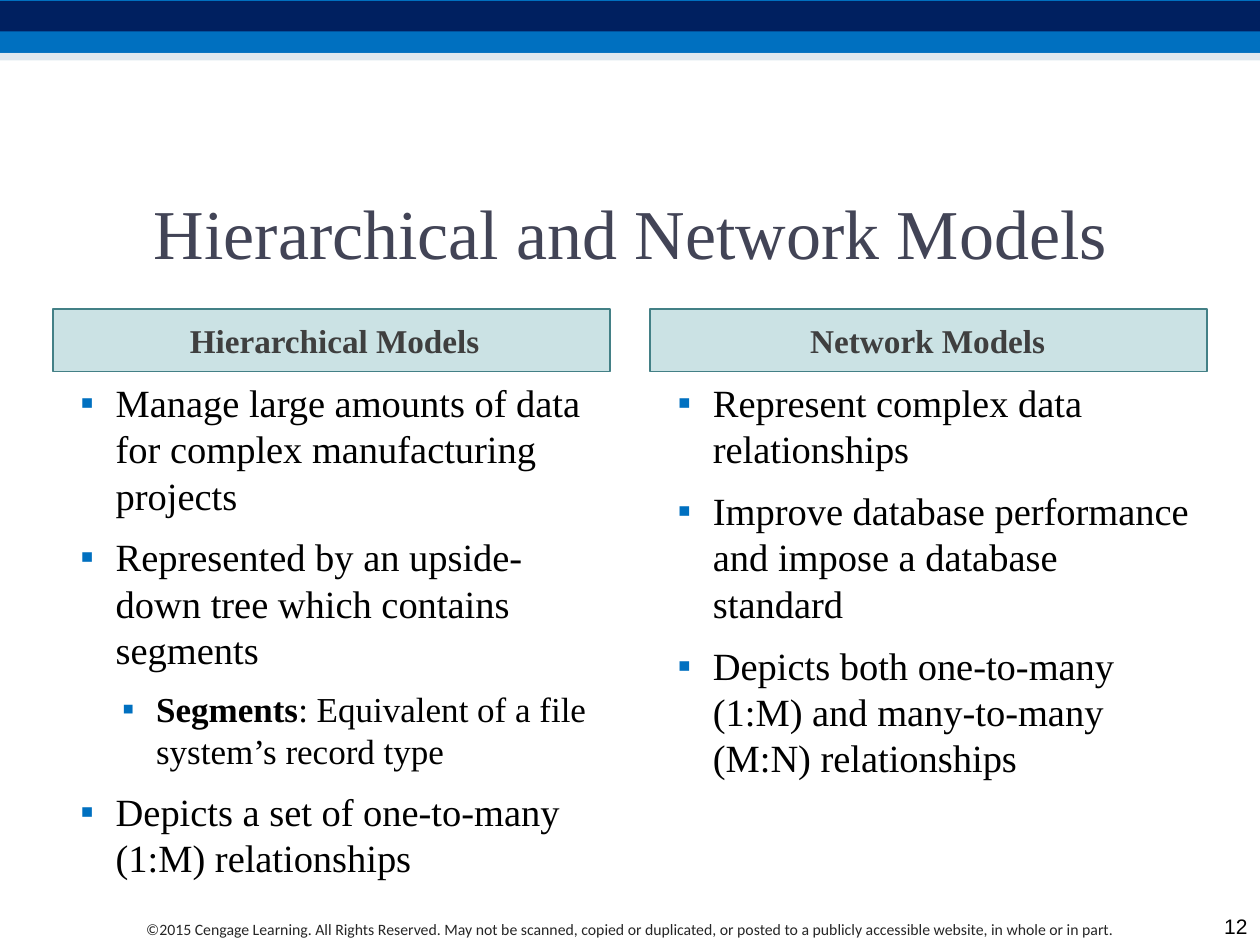
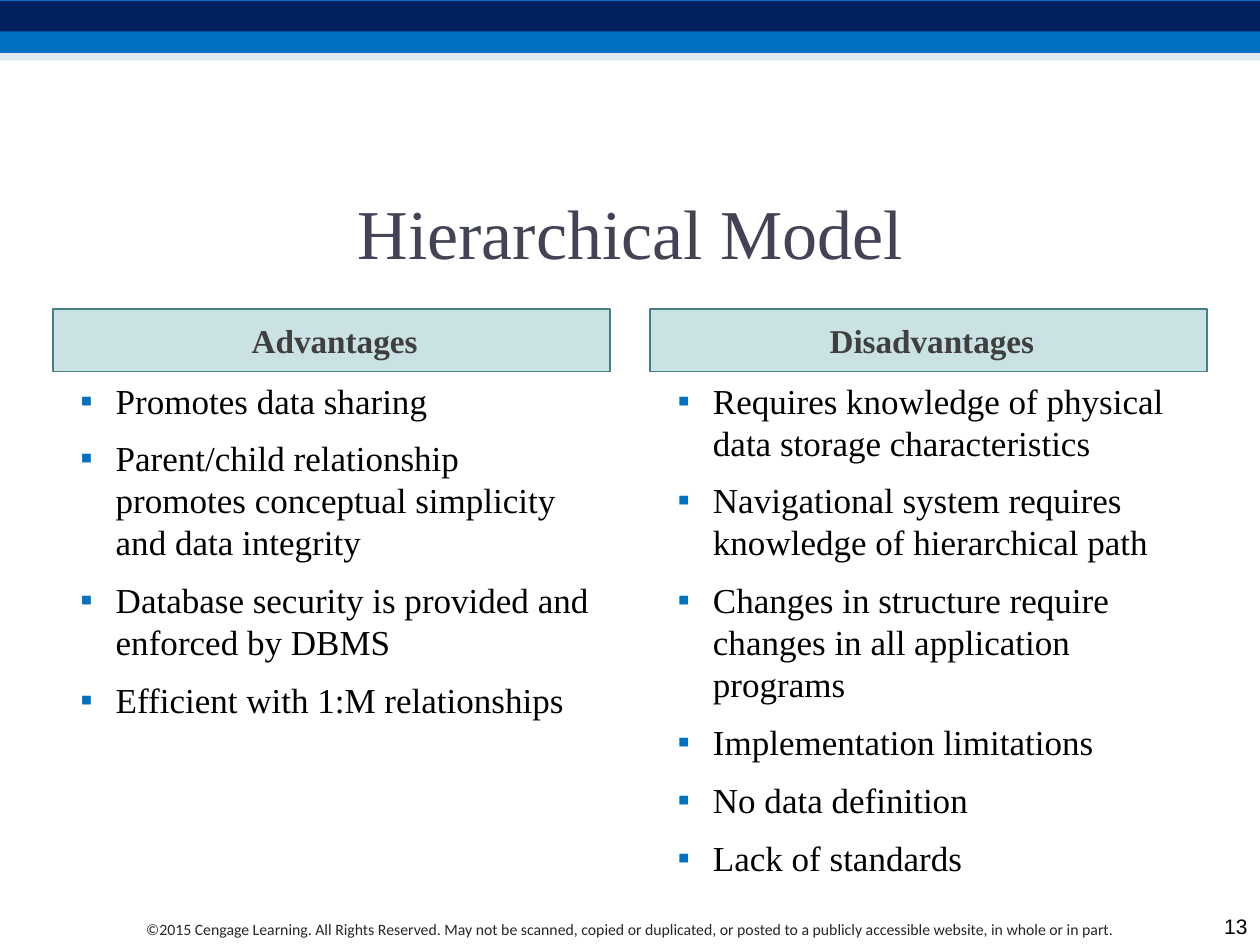
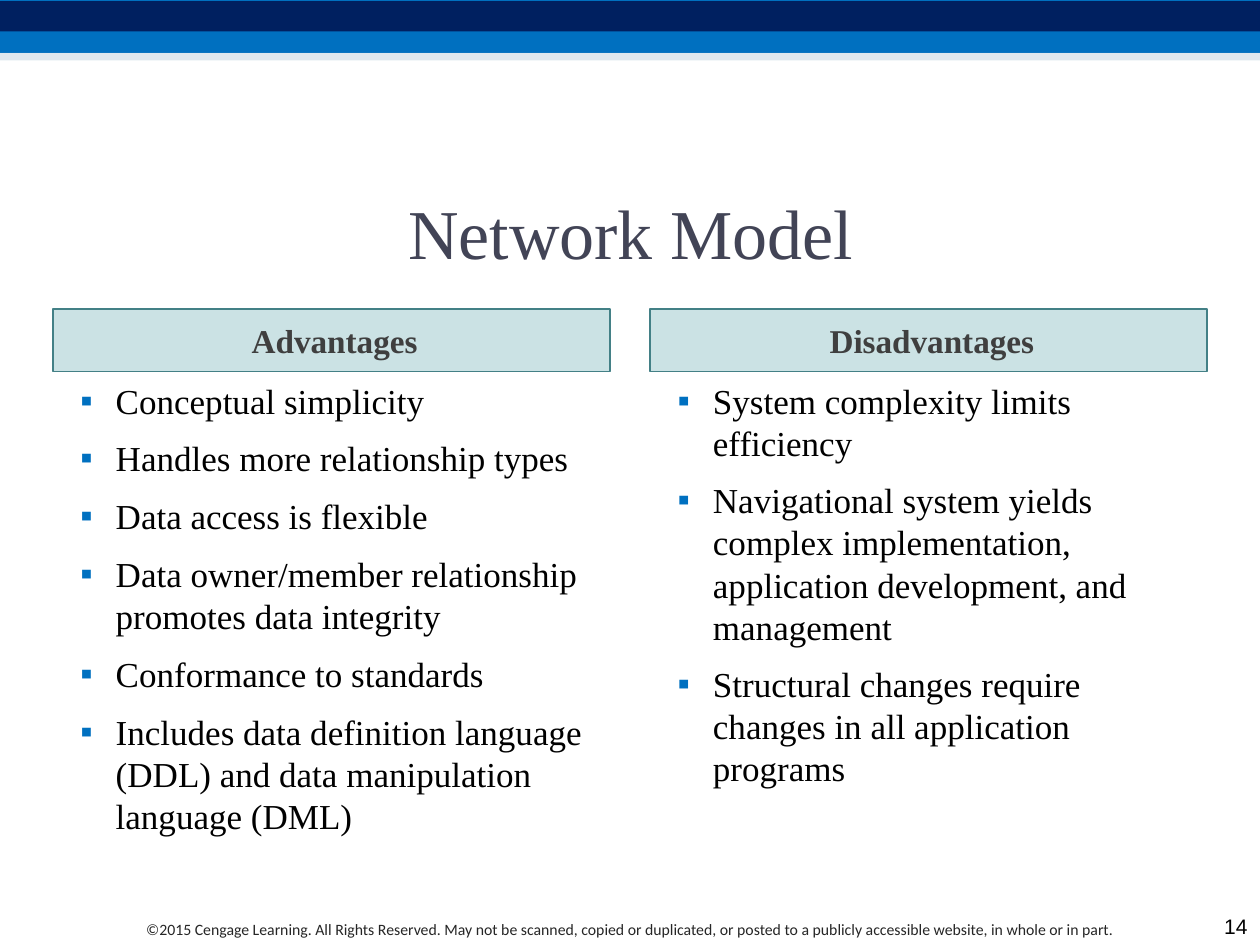
"""Build three slides that compare hierarchical and network database models."""

from dataclasses import dataclass

import lxml.etree
import pptx
import pptx.dml.color
import pptx.enum.shapes
import pptx.enum.text
import pptx.oxml.ns
import pptx.util
from pptx.util import Inches

Align = pptx.enum.text.PP_ALIGN
Anchor = pptx.enum.text.MSO_ANCHOR


@dataclass(frozen=True)
class Theme:
    """Colours, fonts and type sizes of the deck."""

    serif: str = "Times New Roman"
    footer_font: str = "Calibri"
    number_font: str = "Arial"
    blue: str = "0070C0"
    navy: str = "002060"
    pale: str = "BED3E1"
    teal: str = "328E97"
    teal_line: str = "438086"
    title: str = "424456"
    heading: str = "3F3F3F"
    footer: str = "262626"
    body: str = "000000"
    title_size: int = 40
    heading_size: int = 19
    large_size: int = 22
    body_size: int = 20
    number_size: int = 12
    footer_size: int = 9


THEME = Theme()


@dataclass(frozen=True)
class Box:
    """Position and size in inches."""

    left: float
    top: float
    width: float
    height: float

    def lengths(self) -> tuple:
        """Return the four values as lengths."""
        return tuple(Inches(value) for value in (self.left, self.top, self.width, self.height))


@dataclass(frozen=True)
class Band:
    """A filled strip across the top of a slide."""

    box: Box
    color: str
    opacity: int = 100


@dataclass(frozen=True)
class Bullet:
    """One bulleted paragraph, with an optional bold term in front."""

    text: str
    term: str = ""
    level: int = 0


@dataclass(frozen=True)
class Column:
    """A heading and the bullets under it."""

    heading: str
    bullets: tuple[Bullet, ...]


@dataclass(frozen=True)
class Comparison:
    """One slide with two columns."""

    title: str
    columns: tuple[Column, Column]
    size: int = THEME.body_size


BANDS = (
    Band(Box(0, 0, 10, 0.42), THEME.blue),
    Band(Box(0, 0.01, 10, 0.24), THEME.navy),
    Band(Box(0, 0.42, 10, 0.06), THEME.pale, 50),
)
TITLE_BOX = Box(0.42, 1.25, 9.17, 1.17)
FOOTER_BOX = Box(0.58, 7.25, 8.83, 0.25)
NUMBER_BOX = Box(9.5, 7.17, 0.5, 0.33)
COLUMN_LEFTS = (0.42, 5.16)
COLUMN_WIDTH = 4.42
HEADING_TOP, HEADING_HEIGHT = 2.45, 0.5
BODY_TOP, BODY_HEIGHT = 2.96, 4.25
BULLET_INDENTS = ((0.4, -0.28), (0.72, -0.27))
FIRST_NUMBER = 12
FOOTER_TEXT = (
    "©2015 Cengage Learning. All Rights Reserved. May not be scanned, copied or duplicated, "
    "or posted to a publicly accessible website, in whole or in part."
)


def bullets(*texts: str) -> tuple[Bullet, ...]:
    """Make top-level bullets from plain texts."""
    return tuple(Bullet(text) for text in texts)


COMPARISONS = (
    Comparison(
        "Hierarchical and Network Models",
        (
            Column(
                "Hierarchical Models",
                (
                    Bullet("Manage large amounts of data for complex manufacturing projects"),
                    Bullet("Represented by an upside-down tree which contains segments"),
                    Bullet(": Equivalent of a file system’s record type", "Segments", 1),
                    Bullet("Depicts a set of one-to-many (1:M) relationships"),
                ),
            ),
            Column(
                "Network Models ",
                bullets(
                    "Represent complex data relationships",
                    "Improve database performance and impose a database standard",
                    "Depicts both one-to-many (1:M) and many-to-many (M:N) relationships",
                ),
            ),
        ),
        THEME.large_size,
    ),
    Comparison(
        "Hierarchical Model",
        (
            Column(
                "Advantages",
                bullets(
                    "Promotes data sharing",
                    "Parent/child relationship promotes conceptual simplicity and data integrity",
                    "Database security is provided and enforced by DBMS",
                    "Efficient with 1:M relationships",
                ),
            ),
            Column(
                "Disadvantages",
                bullets(
                    "Requires knowledge of physical data storage characteristics",
                    "Navigational system requires knowledge of hierarchical path",
                    "Changes in structure require changes in all application programs",
                    "Implementation limitations",
                    "No data definition",
                    "Lack of standards",
                ),
            ),
        ),
    ),
    Comparison(
        "Network Model",
        (
            Column(
                "Advantages",
                bullets(
                    "Conceptual simplicity",
                    "Handles more relationship types",
                    "Data access is flexible",
                    "Data owner/member relationship promotes data integrity",
                    "Conformance to standards",
                    "Includes data definition language (DDL) and data manipulation language (DML)",
                ),
            ),
            Column(
                "Disadvantages",
                bullets(
                    "System complexity limits efficiency",
                    "Navigational system yields complex implementation, application development, "
                    "and management",
                    "Structural changes require changes in all application programs",
                ),
            ),
        ),
    ),
)


def rgb(color: str) -> pptx.dml.color.RGBColor:
    """Turn a hex string into a colour."""
    return pptx.dml.color.RGBColor.from_string(color)


def add_child(parent, tag: str, **attributes: str):
    """Append a DrawingML element."""
    return lxml.etree.SubElement(parent, pptx.oxml.ns.qn(tag), attributes)


def add_run(paragraph, text: str, size: int, color: str, font: str = THEME.serif, bold: bool = False) -> None:
    """Append one formatted run."""
    run = paragraph.add_run()
    run.text = text
    run.font.name = font
    run.font.size = pptx.util.Pt(size)
    run.font.bold = bold
    run.font.color.rgb = rgb(color)


def prepare_frame(shape, anchor, alignment):
    """Set wrapping, anchor and alignment, and return the first paragraph."""
    frame = shape.text_frame
    frame.word_wrap = True
    frame.auto_size = pptx.enum.text.MSO_AUTO_SIZE.NONE
    frame.vertical_anchor = anchor
    paragraph = frame.paragraphs[0]
    paragraph.alignment = alignment
    return paragraph


def add_rectangle(slide, box: Box, color: str, opacity: int = 100):
    """Add a borderless filled rectangle."""
    shape = slide.shapes.add_shape(pptx.enum.shapes.MSO_SHAPE.RECTANGLE, *box.lengths())
    shape.shadow.inherit = False
    shape.fill.solid()
    shape.fill.fore_color.rgb = rgb(color)
    shape.line.fill.background()
    if opacity < 100:
        fill_color = shape.fill._xPr.find(".//" + pptx.oxml.ns.qn("a:srgbClr"))
        add_child(fill_color, "a:alpha", val=str(opacity * 1000))
    return shape


def add_heading(slide, box: Box, text: str) -> None:
    """Add the tinted heading of a column."""
    shape = add_rectangle(slide, box, THEME.teal, 25)
    shape.line.color.rgb = rgb(THEME.teal_line)
    shape.line.width = pptx.util.Pt(1)
    paragraph = prepare_frame(shape, Anchor.MIDDLE, Align.CENTER)
    shape.text_frame.margin_left = Inches(0.15)
    add_run(paragraph, text, THEME.heading_size, THEME.heading, bold=True)


def add_bullets(slide, box: Box, items: tuple[Bullet, ...], size: int) -> None:
    """Add the bulleted text of a column."""
    shape = slide.shapes.add_textbox(*box.lengths())
    first = prepare_frame(shape, Anchor.TOP, Align.LEFT)
    frame = shape.text_frame
    for index, item in enumerate(items):
        paragraph = frame.add_paragraph() if index else first
        margin, indent = BULLET_INDENTS[item.level]
        properties = paragraph._p.get_or_add_pPr()
        properties.set("marL", str(Inches(margin)))
        properties.set("indent", str(Inches(indent)))
        add_child(add_child(properties, "a:buClr"), "a:srgbClr", val=THEME.blue)
        add_child(properties, "a:buFont", typeface=THEME.number_font)
        add_child(properties, "a:buChar", char="▪")
        paragraph.level = item.level
        paragraph.space_before = pptx.util.Pt(3 if index else 0)
        paragraph.space_after = pptx.util.Pt(6)
        text_size = THEME.body_size if item.level else size
        if item.term:
            add_run(paragraph, item.term, text_size, THEME.body, bold=True)
        add_run(paragraph, item.text, text_size, THEME.body)


def add_frame(slide, title: str, number: int) -> None:
    """Add the bands, title, footer and slide number."""
    for band in BANDS:
        add_rectangle(slide, band.box, band.color, band.opacity)
    shape = slide.shapes.title
    shape.left, shape.top, shape.width, shape.height = TITLE_BOX.lengths()
    paragraph = prepare_frame(shape, Anchor.MIDDLE, Align.CENTER)
    add_run(paragraph, title, THEME.title_size, THEME.title)
    footer = slide.shapes.add_textbox(*FOOTER_BOX.lengths())
    paragraph = prepare_frame(footer, Anchor.TOP, Align.CENTER)
    add_run(paragraph, FOOTER_TEXT, THEME.footer_size, THEME.footer, THEME.footer_font)
    number_box = slide.shapes.add_textbox(*NUMBER_BOX.lengths())
    paragraph = prepare_frame(number_box, Anchor.BOTTOM, Align.RIGHT)
    add_run(paragraph, str(number), THEME.number_size, THEME.body, THEME.number_font)


def add_comparison(presentation, comparison: Comparison, number: int) -> None:
    """Add one two-column slide."""
    slide = presentation.slides.add_slide(presentation.slide_layouts.get_by_name("Title Only"))
    add_frame(slide, comparison.title, number)
    for left, column in zip(COLUMN_LEFTS, comparison.columns):
        add_heading(slide, Box(left, HEADING_TOP, COLUMN_WIDTH, HEADING_HEIGHT), column.heading)
        body_box = Box(left, BODY_TOP, COLUMN_WIDTH, BODY_HEIGHT)
        add_bullets(slide, body_box, column.bullets, comparison.size)


def main() -> None:
    """Build and save the presentation."""
    presentation = pptx.Presentation()
    presentation.slide_width = Inches(10)
    presentation.slide_height = Inches(7.5)
    for number, comparison in enumerate(COMPARISONS, FIRST_NUMBER):
        add_comparison(presentation, comparison, number)
    presentation.save("out.pptx")


if __name__ == "__main__":
    main()
